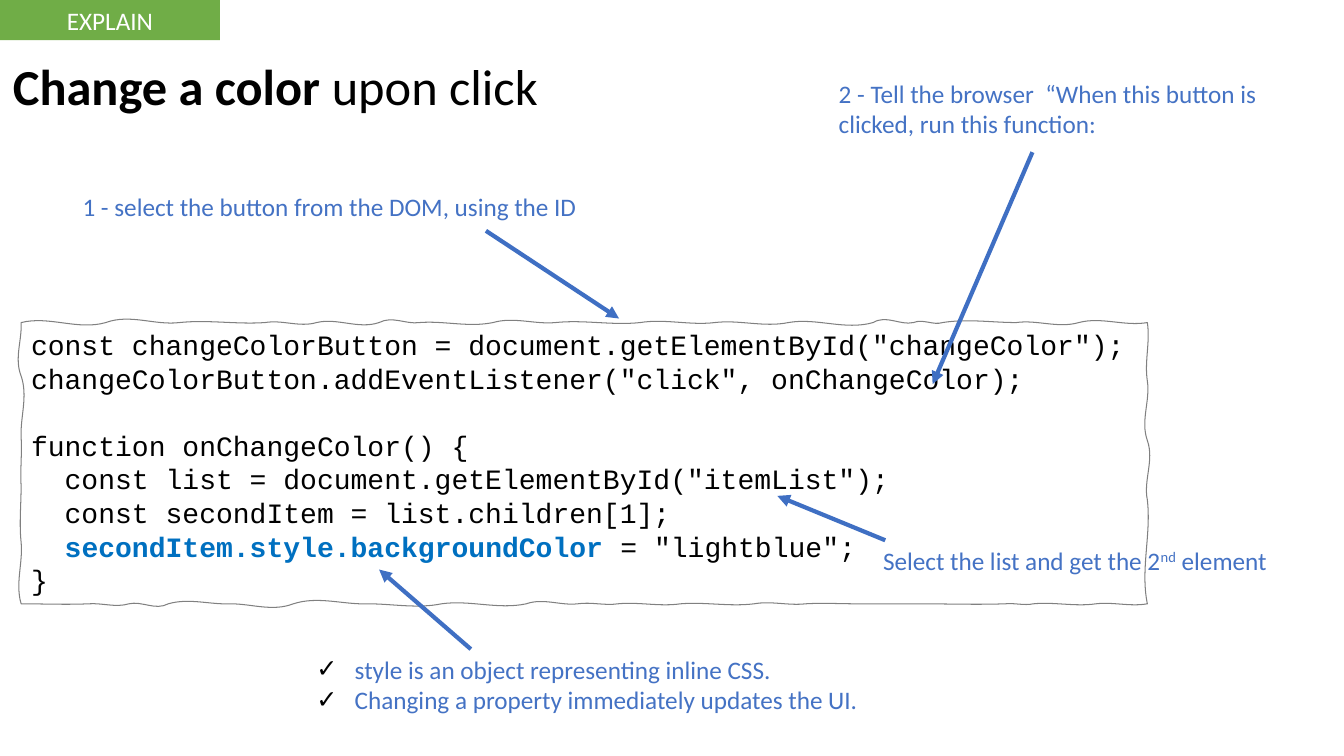
from lxml import etree
from pptx import Presentation
from pptx.dml.color import RGBColor
from pptx.enum.shapes import MSO_CONNECTOR, MSO_SHAPE
from pptx.enum.text import MSO_ANCHOR, MSO_AUTO_SIZE, PP_ALIGN
from pptx.oxml.ns import qn
from pptx.util import Inches, Pt

RECT = MSO_SHAPE.RECTANGLE
STRAIGHT = MSO_CONNECTOR.STRAIGHT
TOP = MSO_ANCHOR.TOP
GROW = MSO_AUTO_SIZE.SHAPE_TO_FIT_TEXT
LEFT, CENTER = PP_ALIGN.LEFT, PP_ALIGN.CENTER

BLACK, WHITE, GREEN, GRAY = "000000", "FFFFFF", "70AD47", "808080"
NOTE, ARROW, KEY = "4472C4", "3F6FC3", "0070C0"

CODE = [
    ['const changeColorButton = document.getElementById("changeColor");'],
    ['changeColorButton.addEventListener("click", onChangeColor);'],
    [],
    ["function onChangeColor() {"],
    ['  const list = document.getElementById("itemList");'],
    ["  const secondItem = list.children[1];"],
    ["  ", "secondItem.style.backgroundColor", ' = "lightblue";'],
    ["}"],
]

# Each edge of the sketched frame: (end of a wave, its two swings)
TOP_WAVES = [
    (1.05, -.07, .08), (1.78, -.09, .03), (2.63, -.03, .02), (3.14, -.03, .05),
    (3.76, -.05, .07), (4.16, -.07, .02), (4.89, -.02, .05), (5.51, -.06, .02),
    (6.35, -.03, .03), (7.09, -.04, .03), (7.82, -.03, .05), (8.66, -.05, .08),
    (9.06, -.08, .03), (9.35, -.04, .03), (10.08, -.04, 0), (10.7, -.03, .06),
    (11.38, -.06, .04),
]
RIGHT_WAVES = [(3.78, .03, -.03), (4.37, .03, -.07), (4.96, .07, -.04), (5.99, .04, -.07)]
BASE_WAVES = [
    (10.87, .03, -.02), (10.25, .03, -.02), (9.97, .02, -.01), (9.12, .01, 0),
    (8.5, 0, 0), (7.99, 0, -.01), (7.48, .02, -.03), (6.75, .03, -.02),
    (6.13, .03, -.02), (5.73, .02, -.02), (5.22, .02, -.06), (4.38, .06, -.04),
    (3.65, .05, 0), (2.91, .01, -.08), (2.29, .08, 0), (1.67, .01, -.06),
    (1.28, .07, -.03), (.88, .04, -.01), (.21, .01, 0),
]
LEFT_WAVES = [(5.38, -.06, .02), (4.82, -.02, 0), (4.34, -.01, .01), (3.73, -.01, .07), (3.2, -.07, .01)]


def color(code):
    return RGBColor.from_string(code)


def style(run, size, tint, font="Calibri", bold=False):
    run.font.size, run.font.name, run.font.bold = Pt(size), font, bold
    run.font.color.rgb = color(tint)


def add_text(slide, box, lines, size=18, tint=NOTE):
    """Place a wrapped text box; each line is a list of runs."""
    frame = slide.shapes.add_textbox(*map(Inches, box)).text_frame
    frame.word_wrap = True
    frame.auto_size = GROW
    fill_text(frame, lines, size, tint)
    return frame


def fill_text(frame, lines, size, tint, font="Calibri"):
    for i, line in enumerate(lines):
        para = frame.paragraphs[0] if i == 0 else frame.add_paragraph()
        para.alignment = LEFT
        for part in line:
            run = para.add_run()
            run.text = part
            style(run, size, tint, font)
        if not line:
            mark = etree.SubElement(para._p, qn("a:endParaRPr"), sz=str(size * 100))
            etree.SubElement(mark, qn("a:latin"), typeface=font)


def add_tag(slide, box, text):
    tag = slide.shapes.add_shape(RECT, *map(Inches, box))
    tag.shadow.inherit = False
    tag.fill.solid()
    tag.fill.fore_color.rgb = color(GREEN)
    tag.line.fill.background()
    tag.text_frame.text = text
    tag.text_frame.auto_size = GROW
    para = tag.text_frame.paragraphs[0]
    para.alignment = CENTER
    style(para.runs[0], 18, WHITE)


def add_title(slide, box):
    frame = add_text(slide, box, [["Change a color ", "upon click"]], 36, BLACK)
    frame.paragraphs[0].runs[0].font.bold = True


def trace(start, waves, level):
    """Return two control points and an end, as (along, across), per wave."""
    curves = []
    for end, one, two in waves:
        third = (end - start) / 3
        curves.append([(start + third, level + one), (end - third, level + two), (end, level)])
        start = end
    return curves


def flip(curves):
    return [[(x, y) for y, x in curve] for curve in curves]


def add_frame(slide, box):
    """Draw the wavy outline, bending each straight segment into a curve."""
    left, top, width, height = box
    right, base = left + width, top + height
    curves = trace(left, TOP_WAVES, top) + flip(trace(top, RIGHT_WAVES, right))
    curves += trace(right, BASE_WAVES, base) + flip(trace(base, LEFT_WAVES, left))
    pen = slide.shapes.build_freeform(Inches(left), Inches(top))
    pen.add_line_segments([(Inches(x), Inches(y)) for *_, (x, y) in curves])
    sheet = pen.convert_to_shape()
    for line, curve in zip(list(sheet._element.iter(qn("a:lnTo"))), curves):
        bend = etree.Element(qn("a:cubicBezTo"))
        for x, y in curve:
            etree.SubElement(bend, qn("a:pt"), x=str(Inches(x - left)), y=str(Inches(y - top)))
        line.getparent().replace(line, bend)
    return sheet


def add_code(slide, box):
    sheet = add_frame(slide, box)
    sheet.shadow.inherit = False
    sheet.fill.background()
    sheet.line.color.rgb = color(GRAY)
    sheet.line.width = Pt(.75)
    frame = sheet.text_frame
    frame.word_wrap = True
    frame.auto_size = GROW
    frame.vertical_anchor = TOP
    fill_text(frame, CODE, 20, BLACK, "Courier New")
    style(frame.paragraphs[6].runs[1], 20, KEY, "Courier New", True)


def add_arrow(slide, start, end):
    arrow = slide.shapes.add_connector(STRAIGHT, *map(Inches, start + end))
    arrow.line.color.rgb = color(ARROW)
    arrow.line.width = Pt(3)
    etree.SubElement(arrow.line._get_or_add_ln(), qn("a:tailEnd"), type="triangle")
    etree.SubElement(arrow._element.spPr, qn("a:effectLst"))


def add_checks(slide, box, lines):
    frame = add_text(slide, box, lines)
    for para in frame.paragraphs:
        props = para._p.get_or_add_pPr()
        props.set("marL", str(Inches(.38)))
        props.set("indent", str(-Inches(.38)))
        tint = etree.SubElement(props, qn("a:buClr"))
        etree.SubElement(tint, qn("a:srgbClr"), val=BLACK)
        etree.SubElement(props, qn("a:buFont"), typeface="Calibri")
        etree.SubElement(props, qn("a:buChar"), char="✓")


def add_notes(slide):
    """Place the four remarks around the code and their arrows."""
    add_text(slide, (.72, 1.85, 5.18, .4), [["1 - select the button from the DOM, using the ID"]])
    add_text(slide, (8.22, .73, 4.67, .71),
             [["2 - Tell the browser  “When this button is clicked, run this function:"]])
    frame = add_text(slide, (8.66, 5.36, 4.67, .4),
                     [["Select the list and get the 2", "nd", " element"]])
    frame.paragraphs[0].runs[1].font._element.set("baseline", "30000")
    add_checks(slide, (3.04, 6.44, 7.2, .71),
               [["style is an object representing inline CSS."],
                ["Changing a property immediately updates the UI."]])
    for start, end in [((4.82, 2.29), (6.14, 3.16)), ((10.24, 1.51), (9.25, 3.81)),
                       ((8.78, 5.36), (7.71, 4.92)), ((4.67, 6.44), (3.76, 5.65))]:
        add_arrow(slide, start, end)


def main():
    deck = Presentation()
    deck.slide_width, deck.slide_height = Inches(13.33), Inches(7.5)
    slide = deck.slides.add_slide(deck.slide_layouts[6])
    add_title(slide, (.03, .5, 7.68, .71))
    add_tag(slide, (0, 0, 2.18, .4), "EXPLAIN")
    add_code(slide, (.21, 3.2, 11.17, 2.79))
    add_notes(slide)
    deck.save("out.pptx")


if __name__ == "__main__":
    main()
